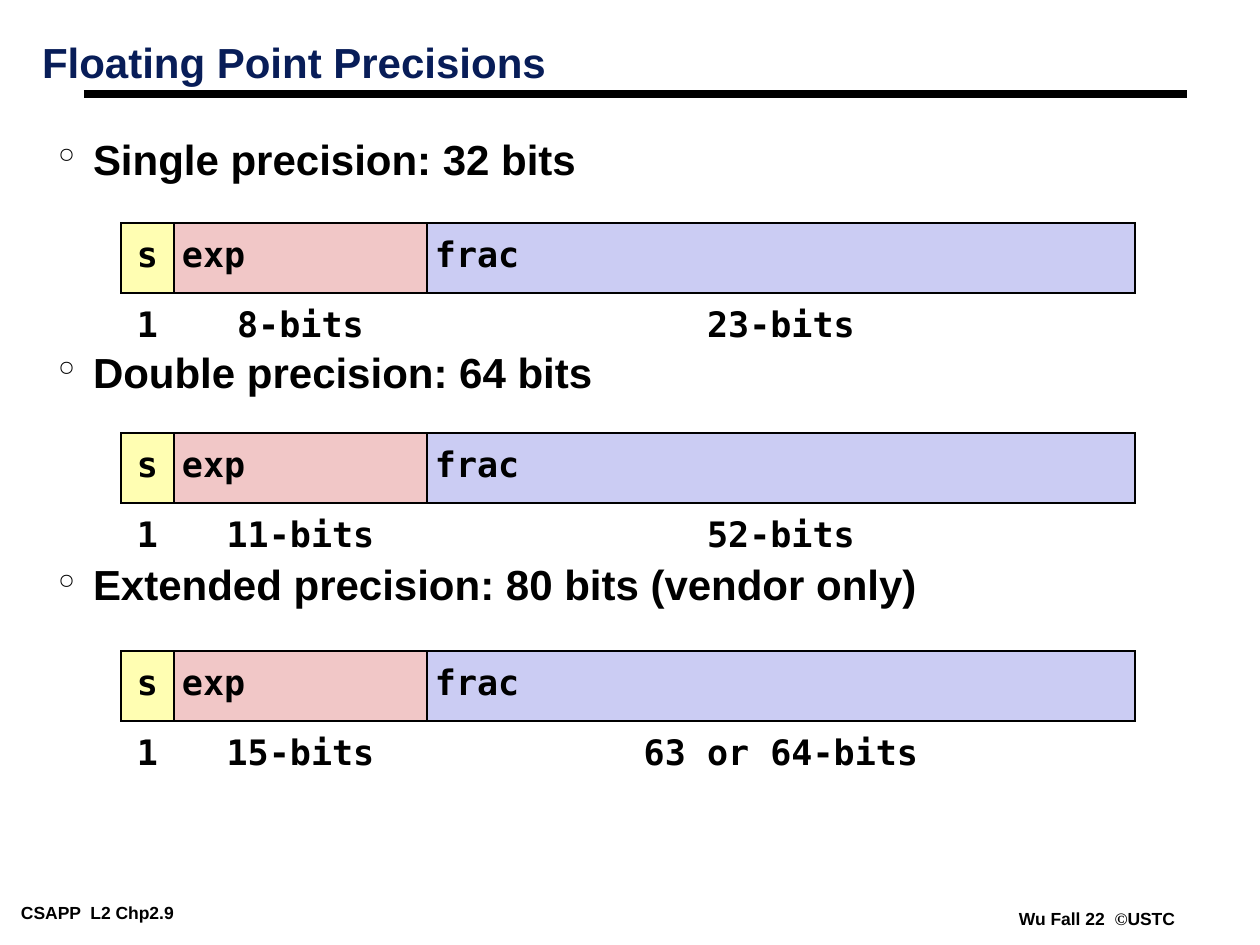
from dataclasses import dataclass

from lxml import etree
from pptx import Presentation
from pptx import util as u
from pptx.dml.color import RGBColor
from pptx.enum import shapes, text
from pptx.oxml import ns

PX_PER_INCH = 126


def px(length):
    return u.Emu(round(length * u.Inches(1) / PX_PER_INCH))


def child(parent, tag, **attributes):
    return etree.SubElement(parent, ns.qn(tag), attributes)


@dataclass(frozen=True)
class Theme:
    ink: str = "000000"
    navy: str = "081D58"
    sign: str = "FFFEB2"
    exponent: str = "F1C7C7"
    fraction: str = "CBCCF3"
    sans: str = "Arial"
    serif: str = "Times New Roman"
    mono: str = "DejaVu Sans Mono"
    heading_size: float = 24
    field_size: float = 20
    footer_size: float = 10
    border: float = 0.96
    rule: float = 4.5


class SlideBuilder:
    def __init__(self, slide, theme):
        self.slide = slide
        self.theme = theme

    def run(self, paragraph, words, size, font=None, color=None):
        run = paragraph.add_run()
        run.text = words
        run.font.name = font or self.theme.sans
        run.font.size = u.Pt(size)
        run.font.bold = True
        run.font.color.rgb = RGBColor.from_string(color or self.theme.ink)

    def text_frame(self, box, inset_x, inset_y, wrap=True):
        frame = self.slide.shapes.add_textbox(*map(px, box)).text_frame
        frame.word_wrap = wrap
        frame.margin_left = frame.margin_right = px(inset_x)
        frame.margin_top = frame.margin_bottom = px(inset_y)
        return frame

    def title(self, words, box):
        frame = self.text_frame(box, 0, 0)
        frame.vertical_anchor = text.MSO_ANCHOR.MIDDLE
        paragraph = frame.paragraphs[0]
        paragraph.line_spacing = 0.87
        self.run(paragraph, words, self.theme.heading_size, color=self.theme.navy)

    def footer(self, parts, box):
        frame = self.text_frame(box, 9, 4, wrap=False)
        for words, font in parts:
            self.run(frame.paragraphs[0], words, self.theme.footer_size, font)

    def rule(self, left, right, y):
        line = self.slide.shapes.add_connector(
            shapes.MSO_CONNECTOR.STRAIGHT, px(left), px(y), px(right), px(y))
        line.line.color.rgb = RGBColor.from_string(self.theme.ink)
        line.line.width = u.Pt(self.theme.rule)
        child(line.element.spPr, "a:effectLst")

    def bullets(self, headings, box, first_gap, gap):
        frame = self.text_frame(box, 5, 5)
        for index, heading in enumerate(headings):
            paragraph = frame.add_paragraph() if index else frame.paragraphs[0]
            paragraph.line_spacing = 0.75
            paragraph.space_before = u.Pt(gap if index else first_gap)
            properties = paragraph._p.get_or_add_pPr()
            properties.set("marL", str(px(35)))
            properties.set("indent", str(px(-35)))
            bullet_color = child(properties, "a:buClr")
            child(bullet_color, "a:srgbClr", val=self.theme.ink)
            child(properties, "a:buChar", char="°")
            self.run(paragraph, heading, self.theme.heading_size)

    def borders(self, cell, visible):
        properties = cell._tc.get_or_add_tcPr()
        for side in "LRTB":
            if side in visible:
                edge = child(properties, f"a:ln{side}", w=str(u.Pt(self.theme.border)))
                child(child(edge, "a:solidFill"), "a:srgbClr", val=self.theme.ink)
            else:
                child(child(properties, f"a:ln{side}", w="0"), "a:noFill")

    def cell(self, cell, words, centered, fill=None):
        cell.margin_left = cell.margin_right = px(8)
        cell.margin_top = cell.margin_bottom = px(6)
        cell.vertical_anchor = text.MSO_ANCHOR.MIDDLE
        self.borders(cell, "LRTB" if fill else "T")
        if fill:
            cell.fill.solid()
            cell.fill.fore_color.rgb = RGBColor.from_string(fill)
        else:
            cell.fill.background()
        paragraph = cell.text_frame.paragraphs[0]
        paragraph.line_spacing = 0.75
        paragraph.alignment = text.PP_ALIGN.CENTER if centered else text.PP_ALIGN.LEFT
        self.run(paragraph, words, self.theme.field_size, self.theme.mono)

    def bit_layout(self, left, top, fields, widths, row_height):
        table = self.slide.shapes.add_table(
            2, len(widths), px(left), px(top),
            px(sum(widths)), px(2 * row_height)).table
        table.first_row = table.horz_banding = False
        for row in table.rows:
            row.height = px(row_height)
        for column, (width, field) in enumerate(zip(widths, fields)):
            name, fill, bits = field
            table.columns[column].width = px(width)
            self.cell(table.cell(0, column), name, column == 0, fill)
            self.cell(table.cell(1, column), bits, True)


def main():
    deck = Presentation()
    deck.slide_width, deck.slide_height = px(1260), px(945)
    theme = Theme()
    builder = SlideBuilder(deck.slides.add_slide(deck.slide_layouts[6]), theme)

    builder.footer([("CSAPP  L2 Chp2.9", theme.sans)], (12, 898, 246, 28))
    builder.footer(
        [("Wu Fall 22  ", theme.sans), ("©", theme.serif), ("USTC", theme.sans)],
        (1010, 904, 174, 28))
    builder.rule(84, 1187, 94)
    builder.title("Floating Point Precisions", (42, 26, 1052, 79))

    precisions = [
        ("Single precision: 32 bits", 223, "8-bits", "23-bits"),
        ("Double precision: 64 bits", 433, "11-bits", "52-bits"),
        ("Extended precision: 80 bits (vendor only)", 651, "15-bits", "63 or 64-bits"),
    ]
    builder.bullets([precision[0] for precision in precisions],
                    (53, 140, 1155, 748), first_gap=19.5, gap=100)
    for _, top, exponent_bits, fraction_bits in precisions:
        fields = [
            ("s", theme.sign, "1"),
            ("exp", theme.exponent, exponent_bits),
            ("frac", theme.fraction, fraction_bits),
        ]
        builder.bit_layout(121, top, fields, widths=(53, 253, 708), row_height=70)

    deck.save("out.pptx")


if __name__ == "__main__":
    main()
